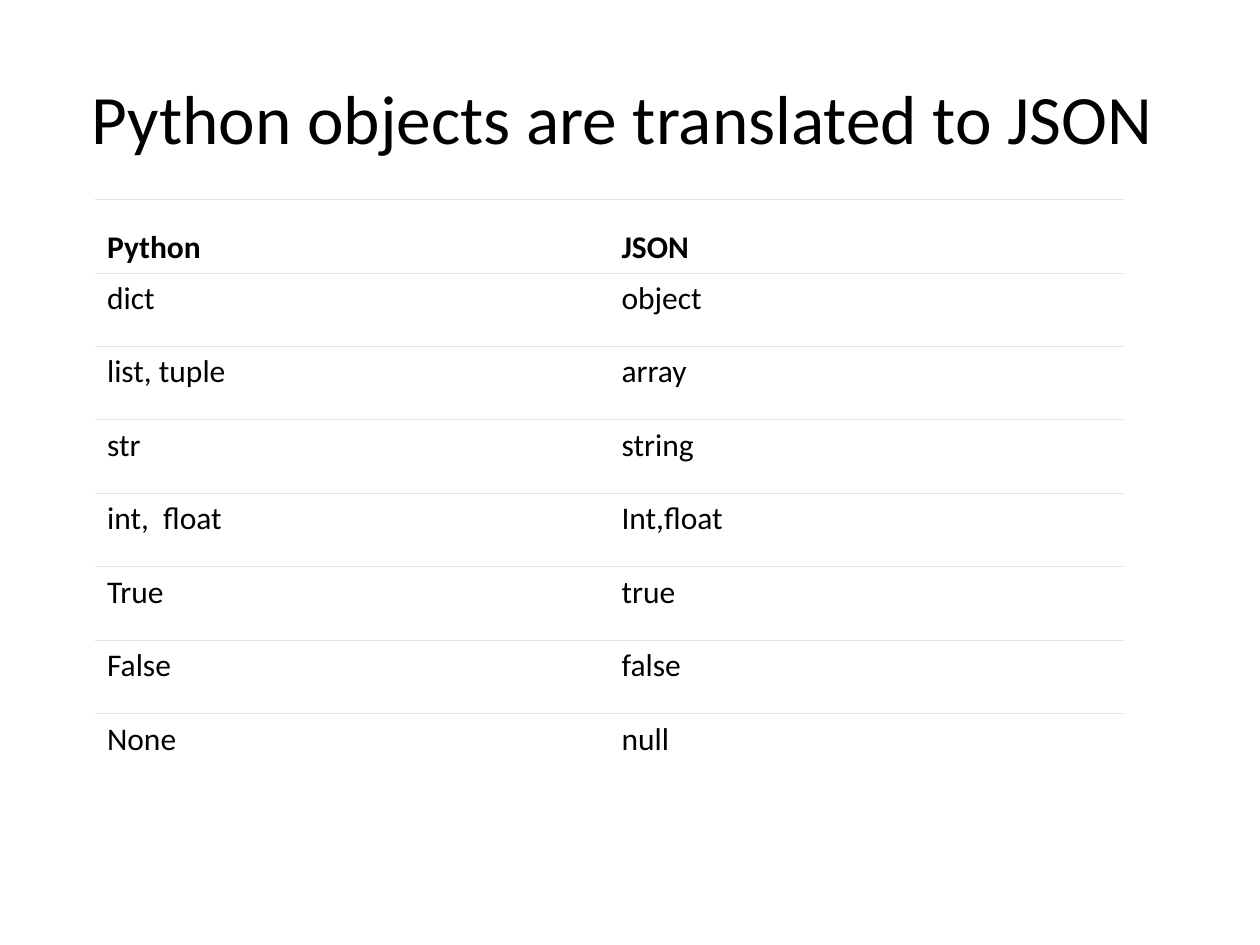
from dataclasses import dataclass

from lxml import etree
from pptx import Presentation
from pptx import util as u
from pptx.dml.color import RGBColor
from pptx.enum import text
from pptx.oxml import ns

PX = 7620  # EMU per px, 120 px to the inch


@dataclass(frozen=True)
class Theme:
    font: str = "Calibri"
    ink: str = "000000"
    paper: str = "FFFFFF"
    rule: str = "DEE2E6"
    title_size: float = 39.6
    body_size: float = 18
    rule_width: float = 0.6


theme = Theme()


def write(paragraph, words, size, bold=False):
    run = paragraph.add_run()
    run.text = words
    formats = {"name": theme.font, "size": u.Pt(size), "bold": bold}
    for name, value in formats.items():
        setattr(run.font, name, value)
    run.font.color.rgb = RGBColor.from_string(theme.ink)


def add_border(cell, side, visible):
    """Draw one side of a cell (L, R, T or B), or switch it off."""
    properties = cell._tc.get_or_add_tcPr()
    width = str(u.Pt(theme.rule_width))
    line = etree.SubElement(properties, ns.qn(f"a:ln{side}"), w=width)
    if visible:
        fill = etree.SubElement(line, ns.qn("a:solidFill"))
        etree.SubElement(fill, ns.qn("a:srgbClr"), val=theme.rule)
    else:
        etree.SubElement(line, ns.qn("a:noFill"))


presentation = Presentation()
presentation.slide_width = 1200 * PX
presentation.slide_height = 900 * PX
slide = presentation.slides.add_slide(presentation.slide_layouts[6])

title = slide.shapes.add_textbox(60 * PX, 36 * PX, 1080 * PX, 150 * PX)
title.text_frame.word_wrap = True
title.text_frame.vertical_anchor = text.MSO_ANCHOR.MIDDLE
heading = title.text_frame.paragraphs[0]
heading.alignment = text.PP_ALIGN.CENTER
write(heading, "Python objects are translated to JSON ", theme.title_size)

type_pairs = [
    ("Python", "JSON"),
    ("dict", "object"),
    ("list, tuple", "array"),
    ("str", "string"),
    ("int,  float", "Int,float"),
    ("True", "true"),
    ("False", "false"),
    ("None", "null"),
]
row_count = len(type_pairs)
table = slide.shapes.add_table(
    row_count, 2, 90 * PX, 190 * PX, 980 * PX, 70 * row_count * PX
).table
table.first_row = False
table.horz_banding = False

for row, pair in enumerate(type_pairs):
    is_header = row == 0
    is_last = row == row_count - 1
    for column, words in enumerate(pair):
        cell = table.cell(row, column)
        borders = {"L": False, "R": False, "T": True, "B": not is_last}
        for side, visible in borders.items():
            add_border(cell, side, visible)
        cell.fill.solid()
        cell.fill.fore_color.rgb = RGBColor.from_string(theme.paper)
        cell.vertical_anchor = (
            text.MSO_ANCHOR.BOTTOM if is_header else text.MSO_ANCHOR.TOP
        )
        write(cell.text_frame.paragraphs[0], words, theme.body_size, is_header)

presentation.save("out.pptx")
